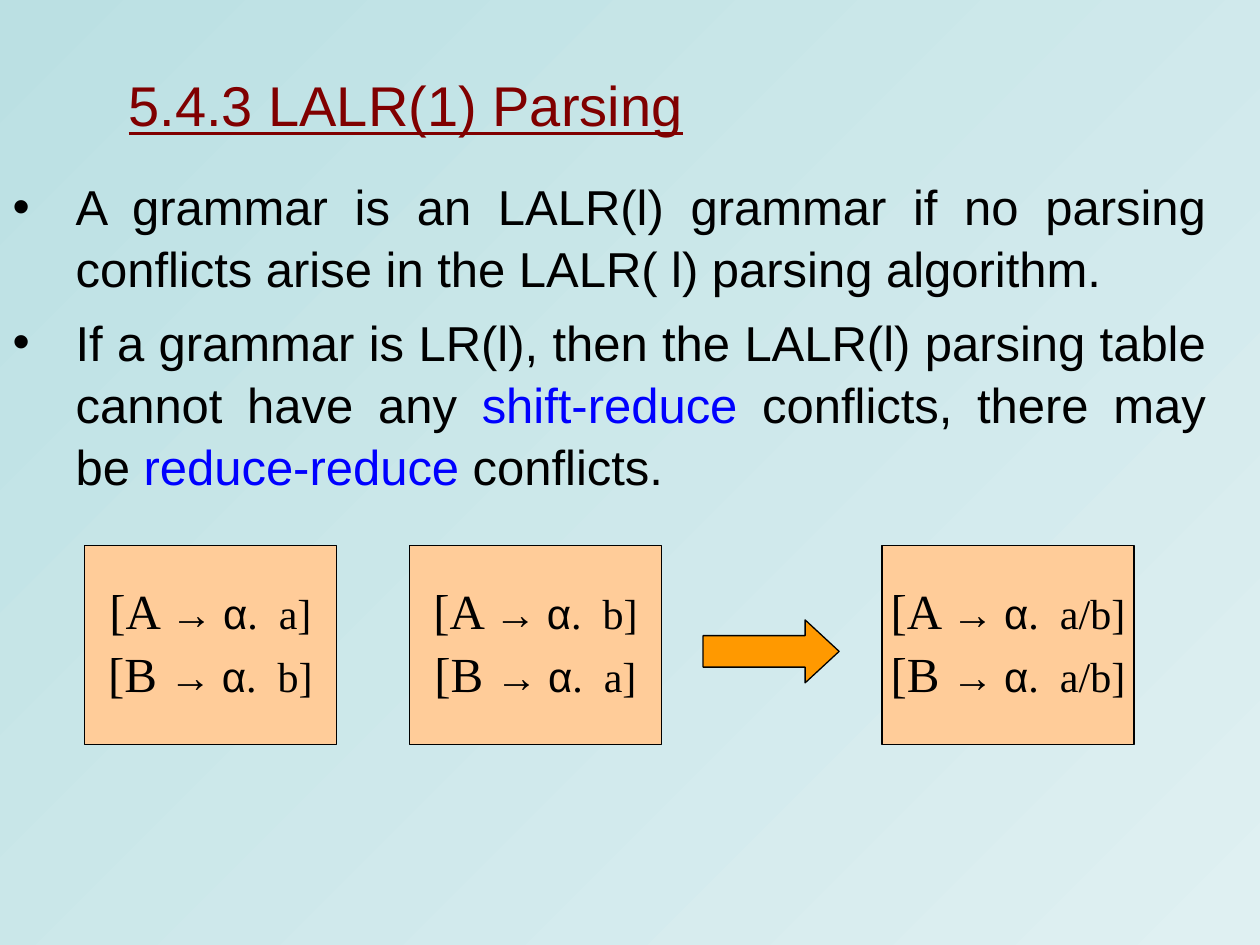
from pptx import Presentation
from pptx.dml.color import RGBColor
from pptx.enum.shapes import MSO_SHAPE as Shape
from pptx.enum.text import MSO_ANCHOR as Anchor, MSO_AUTO_SIZE as AutoSize, PP_ALIGN as Align
from pptx.util import Inches, Pt


def color(value):
    return RGBColor.from_string(value)


def add_run(paragraph, text, size, font_name, font_color):
    run = paragraph.add_run()
    run.text = text
    run.font.size = Pt(size)
    run.font.name = font_name
    run.font.color.rgb = color(font_color)
    return run


presentation = Presentation()
presentation.slide_width = Inches(10)
presentation.slide_height = Inches(7.5)
slide = presentation.slides.add_slide(presentation.slide_layouts[1])

background = slide.background.fill
background.gradient()
background.gradient_angle = 315
for stop, stop_color in zip(background.gradient_stops, ["BBE0E3", "DFF0F2"]):
    stop.color.rgb = color(stop_color)

title, body = slide.placeholders
title.left, title.top = Inches(0.92), Inches(0.58)
title.width, title.height = Inches(8.5), Inches(0.5)
title.text_frame.auto_size = AutoSize.NONE
title.text_frame.vertical_anchor = Anchor.MIDDLE
paragraph = title.text_frame.paragraphs[0]
paragraph.alignment = Align.LEFT
add_run(paragraph, "5.4.3 LALR(1) Parsing", 32, "Arial", "800000").font.underline = True

bullets = [
    [("A grammar is an LALR(l) grammar if no parsing conflicts arise "
      "in the LALR( l) parsing algorithm.", "000000")],
    [("If a grammar is LR(l), then the LALR(l) parsing table cannot have any ", "000000"),
     ("shift-reduce ", "0000FF"),
     ("conflicts, there may be ", "000000"),
     ("reduce-reduce ", "0000FF"),
     ("conflicts.", "000000")],
]
body.left, body.top = Inches(0), Inches(1.33)
body.width, body.height = Inches(9.67), Inches(2.67)
frame = body.text_frame
frame.auto_size = AutoSize.NONE
for index, parts in enumerate(bullets):
    paragraph = frame.add_paragraph() if index else frame.paragraphs[0]
    paragraph.alignment = Align.JUSTIFY
    paragraph.line_spacing = 1.05
    paragraph.space_before = Pt(7 if index else 0)
    properties = paragraph._p.get_or_add_pPr()
    properties.set("marL", str(Inches(0.5)))
    properties.set("indent", str(-Inches(0.5)))
    for text, text_color in parts:
        add_run(paragraph, text, 28, "Arial", text_color)

item_sets = [(0.67, "a", "b"), (3.25, "b", "a"), (7, "a/b", "a/b")]
for left, *lookaheads in item_sets:
    box = slide.shapes.add_shape(
        Shape.RECTANGLE, Inches(left), Inches(4.33), Inches(2), Inches(1.58))
    box.shadow.inherit = False
    box.fill.solid()
    box.fill.fore_color.rgb = color("FFCC99")
    box.line.color.rgb = color("000000")
    box.line.width = Pt(0.75)
    frame = box.text_frame
    frame.word_wrap = False
    frame.vertical_anchor = Anchor.MIDDLE
    for index, (symbol, lookahead) in enumerate(zip("AB", lookaheads)):
        paragraph = frame.add_paragraph() if index else frame.paragraphs[0]
        paragraph.alignment = Align.CENTER
        paragraph.line_spacing = 0.9
        paragraph.space_before = Pt(6 if index else 0)
        add_run(paragraph, f"[{symbol} ", 28, "Times New Roman", "000000")
        add_run(paragraph, "→ ", 24, "Times New Roman", "000000")
        add_run(paragraph, "α", 24, "Arial", "000000")
        add_run(paragraph, f".  {lookahead}]", 24, "Times New Roman", "000000")

arrow = slide.shapes.add_shape(
    Shape.RIGHT_ARROW, Inches(5.58), Inches(4.92), Inches(1.08), Inches(0.5))
arrow.shadow.inherit = False
arrow.adjustments[1] = 0.54
arrow.fill.solid()
arrow.fill.fore_color.rgb = color("FF9900")
arrow.line.color.rgb = color("000000")
arrow.line.width = Pt(0.75)

presentation.save("out.pptx")
